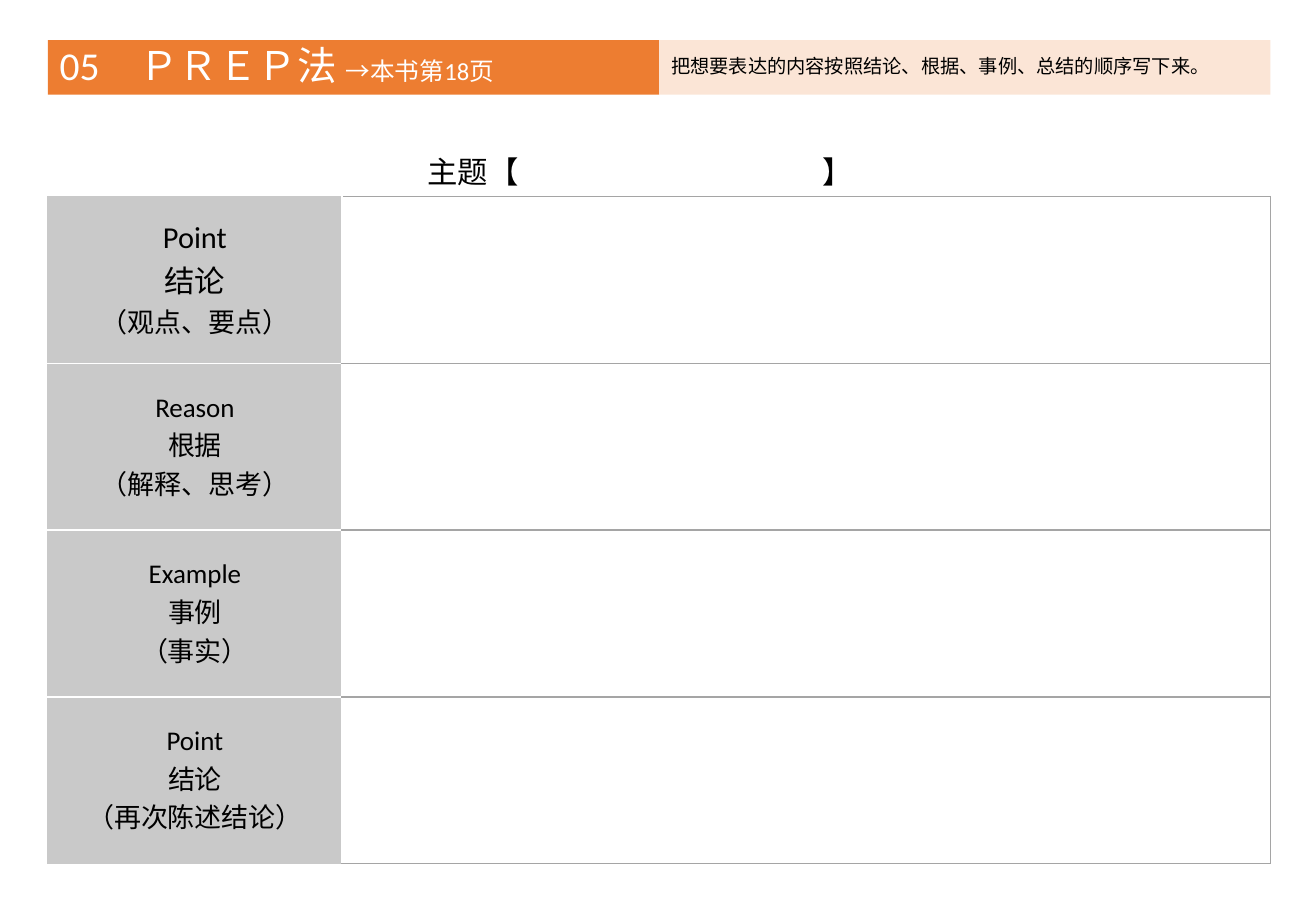
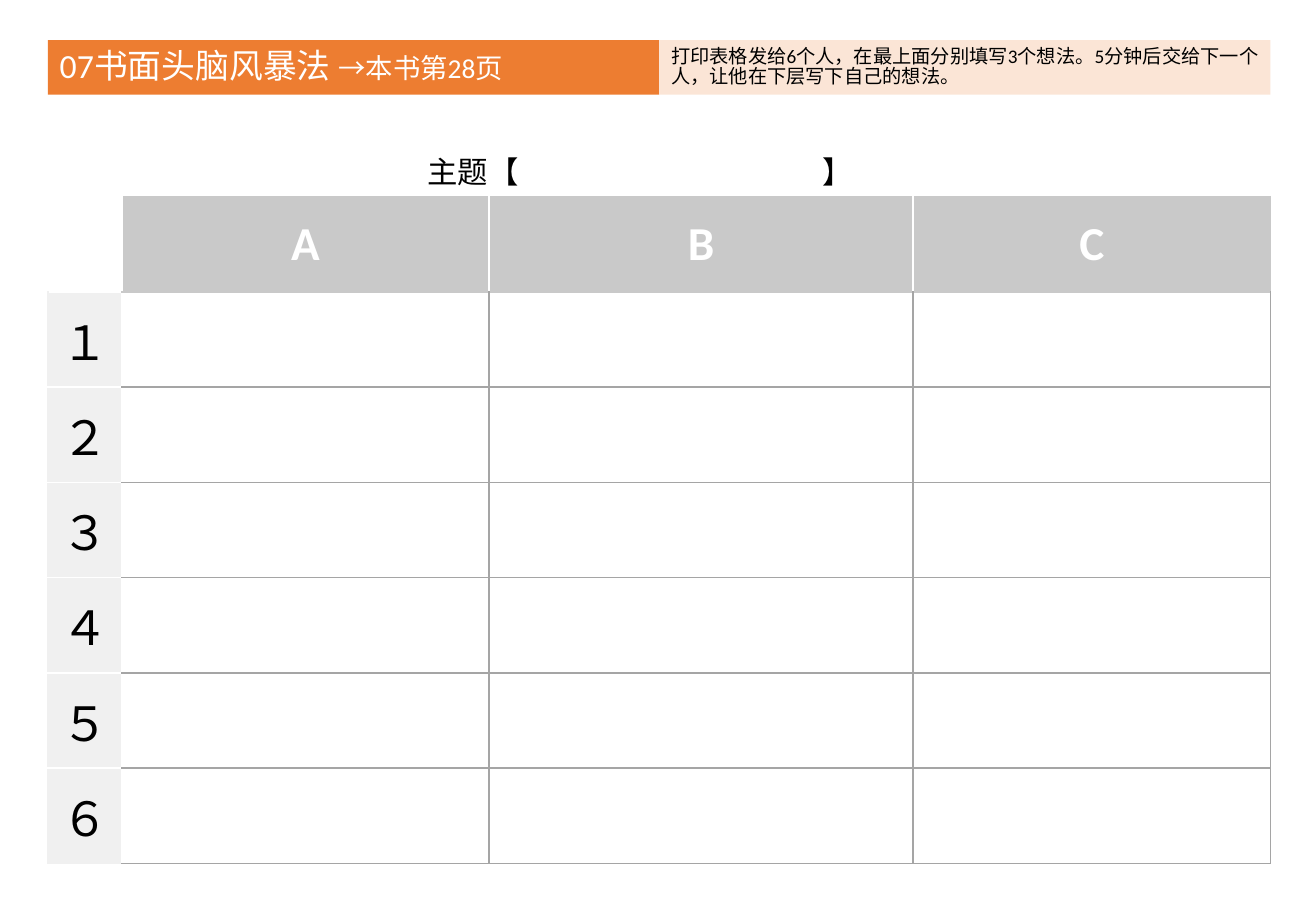
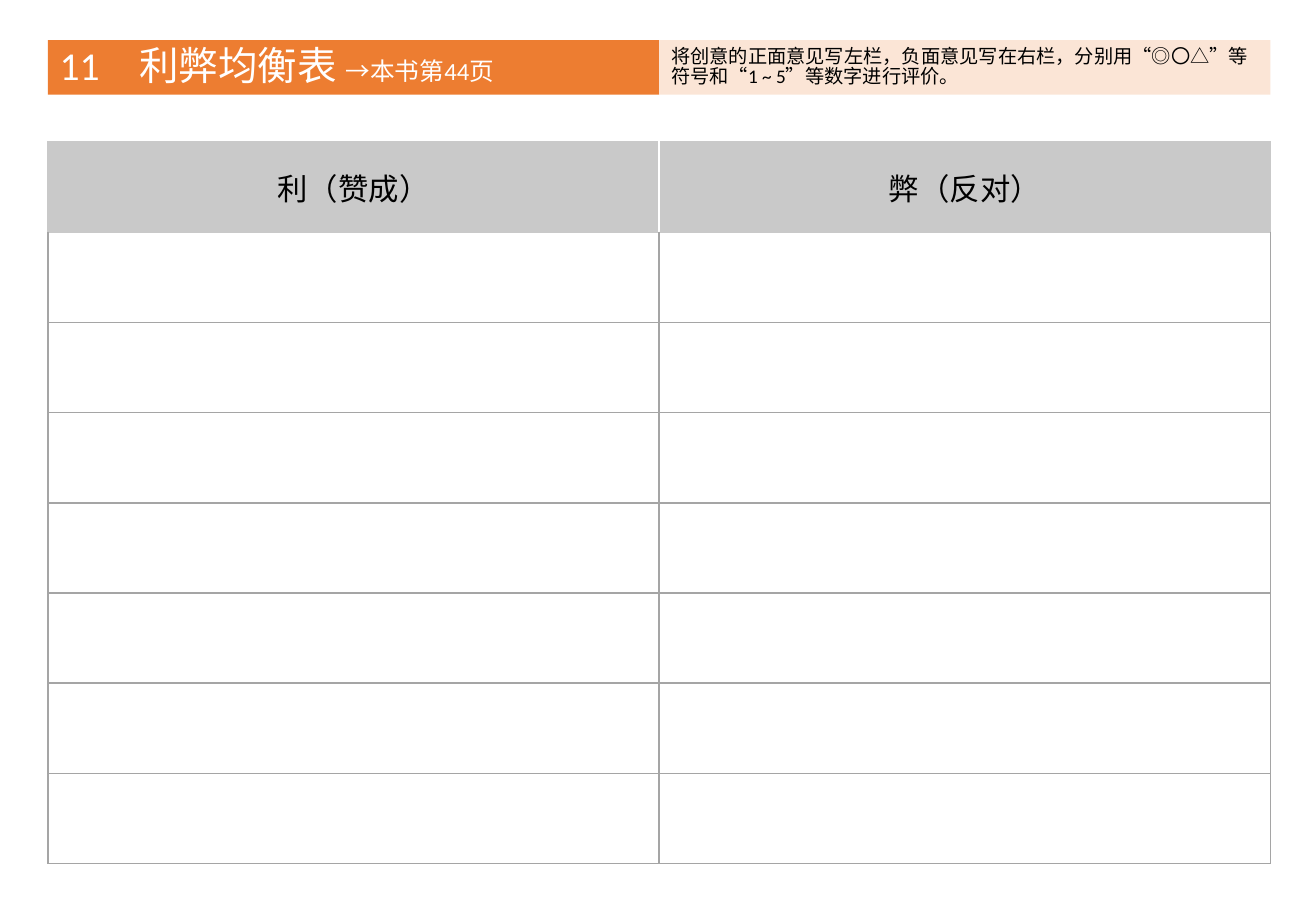
"""Build three printable thinking-method worksheets with a shared heading band and a ruled table."""
from lxml import etree
from pptx import Presentation
from pptx.dml.color import RGBColor
from pptx.enum.shapes import MSO_SHAPE as Preset
from pptx.enum.text import MSO_ANCHOR as Anchor, PP_ALIGN as Align
from pptx.oxml.ns import qn
from pptx.util import Cm, Pt

ORANGE, PEACH, BLACK, WHITE = "ED7D31", "FBE5D6", "000000", "FFFFFF"
HEADER_GREY, ROW_GREY, RULE_GREY = "C9C9C9", "F0F0F0", "A5A5A5"
LATIN, HAN = "Calibri", "Noto Sans CJK SC"
LEFT, BAND_TOP, BAND_HEIGHT, BOTTOM = 1, 0.84, 1.14, 18.06
HALF_WIDTH = 12.78
SIDES = {"lnL": (0, -1), "lnR": (0, 1), "lnT": (-1, 0), "lnB": (1, 0)}


def color(code):
    """Turn a hex string into a colour."""
    return RGBColor.from_string(code)


def write(paragraph, pieces, text_color, latin=LATIN, bold=False):
    """Fill a paragraph with (text, size) pieces in one font and colour."""
    font = paragraph.font
    font.name = latin
    font.bold = bold
    font.color.rgb = color(text_color)
    if len(pieces) == 1:
        font.size = Pt(pieces[0][1])
    etree.SubElement(font._element, qn("a:ea"), typeface=HAN)
    for text, size in pieces:
        run = paragraph.add_run()
        run.text = text
        if len(pieces) > 1:
            run.font.size = Pt(size)


prep_steps = [
    [("Point", 18), ("结论", 18), ("（观点、要点）", 16)],
    [("Reason", 16), ("根据", 16), ("（解释、思考）", 16)],
    [("Example", 16), ("事例", 16), ("（事实）", 16)],
    [("Point", 16), ("结论", 16), ("（再次陈述结论）", 16)],
]
prep_labels = {(row, 0): (lines, HEADER_GREY, BLACK, False) for row, lines in enumerate(prep_steps)}

idea_labels = {(0, 0): ([], WHITE, BLACK, False)}
for column, letter in enumerate("ABC", 1):
    idea_labels[0, column] = ([(letter, 28)], HEADER_GREY, WHITE, True)
for row, digit in enumerate("１２３４５６", 1):
    idea_labels[row, 0] = ([(digit, 28)], ROW_GREY, BLACK, False)

balance_labels = {
    (0, column): ([(heading, 18)], HEADER_GREY, BLACK, False)
    for column, heading in enumerate(["利（赞成）", "弊（反对）"])
}

sheets = [
    {
        "title": [("05　ＰＲＥＰ法 ", 23.4), ("→本书第18页", 14.6)],
        "hint": "把想要表达的内容按照结论、根据、事例、总结的顺序写下来。", "hint_font": HAN,
        "topic": True, "top": 4.11, "rows": 4, "widths": [6.15, 19.41], "labels": prep_labels,
    },
    {
        "title": [("07书面头脑风暴法 ", 20), ("→本书第28页", 16.2)],
        "hint": "打印表格发给6个人，在最上面分别填写3个想法。5分钟后交给下一个人，让他在下层写下自己的想法。",
        "hint_font": LATIN,
        "topic": True, "top": 4.11, "rows": 7, "widths": [1.55, 7.67, 8.87, 7.47], "labels": idea_labels,
    },
    {
        "title": [("11　利弊均衡表 ", 23.4), ("→本书第44页", 14.6)],
        "hint": "将创意的正面意见写左栏，负面意见写在右栏，分别用“◎〇△”等符号和“1 ~ 5”等数字进行评价。",
        "hint_font": LATIN,
        "topic": False, "top": 2.97, "rows": 8, "widths": [HALF_WIDTH] * 2, "labels": balance_labels,
    },
]

presentation = Presentation()
presentation.slide_width, presentation.slide_height = Cm(27.51), Cm(19.05)

for sheet in sheets:
    slide = presentation.slides.add_slide(presentation.slide_layouts[6])

    bands = [
        (sheet["title"], ORANGE, WHITE, LATIN),
        ([(sheet["hint"], 11.4)], PEACH, BLACK, sheet["hint_font"]),
    ]
    for index, (pieces, fill, text_color, latin) in enumerate(bands):
        band = slide.shapes.add_shape(
            Preset.RECTANGLE, Cm(LEFT + index * HALF_WIDTH), Cm(BAND_TOP), Cm(HALF_WIDTH), Cm(BAND_HEIGHT))
        band.shadow.inherit = False
        band.fill.solid()
        band.fill.fore_color.rgb = color(fill)
        band.line.fill.background()
        band.text_frame.word_wrap = True
        band.text_frame.vertical_anchor = Anchor.MIDDLE
        paragraph = band.text_frame.paragraphs[0]
        paragraph.alignment = Align.LEFT
        paragraph.line_spacing = 0.9
        write(paragraph, pieces, text_color, latin)

    if sheet["topic"]:
        topic = slide.shapes.add_textbox(Cm(8.69), Cm(3.07), Cm(9.5), Cm(1.02))
        topic.text_frame.word_wrap = True
        paragraph = topic.text_frame.paragraphs[0]
        tabs = etree.SubElement(paragraph._p.get_or_add_pPr(), qn("a:tabLst"))
        etree.SubElement(tabs, qn("a:tab"), pos=str(Cm(8.25)), algn="l")
        write(paragraph, [("主题【\t】", 18)], BLACK)

    row_count, widths, labels = sheet["rows"], sheet["widths"], sheet["labels"]
    height = BOTTOM - sheet["top"]
    table = slide.shapes.add_table(
        row_count, len(widths), Cm(LEFT), Cm(sheet["top"]), Cm(sum(widths)), Cm(height)).table
    table.first_row = table.horz_banding = False
    for column, width in zip(table.columns, widths):
        column.width = Cm(width)
    for row in table.rows:
        row.height = Cm(height / row_count)

    for row in range(row_count):
        for column in range(len(widths)):
            cell = table.cell(row, column)
            label = labels.get((row, column))
            for side, (down, right) in SIDES.items():
                beside = (row + down, column + right)
                inside = 0 <= beside[0] < row_count and 0 <= beside[1] < len(widths)
                label_fills = [item[1] for item in (label, labels.get(beside)) if item]
                if not label_fills:
                    edge = RULE_GREY
                elif len(label_fills) == 2 or (right and inside):
                    edge = WHITE
                else:
                    edge = label_fills[0]
                line = etree.SubElement(cell._tc.get_or_add_tcPr(), qn("a:" + side), w=str(Pt(1)))
                line_fill = etree.SubElement(line, qn("a:solidFill"))
                etree.SubElement(line_fill, qn("a:srgbClr"), val=edge)

            lines, fill, text_color, bold = label or ([], WHITE, BLACK, False)
            cell.fill.solid()
            cell.fill.fore_color.rgb = color(fill)
            cell.vertical_anchor = Anchor.MIDDLE
            for index, piece in enumerate(lines):
                paragraph = cell.text_frame.add_paragraph() if index else cell.text_frame.paragraphs[0]
                paragraph.alignment = Align.CENTER
                write(paragraph, [piece], text_color, bold=bold)

presentation.save("out.pptx")
